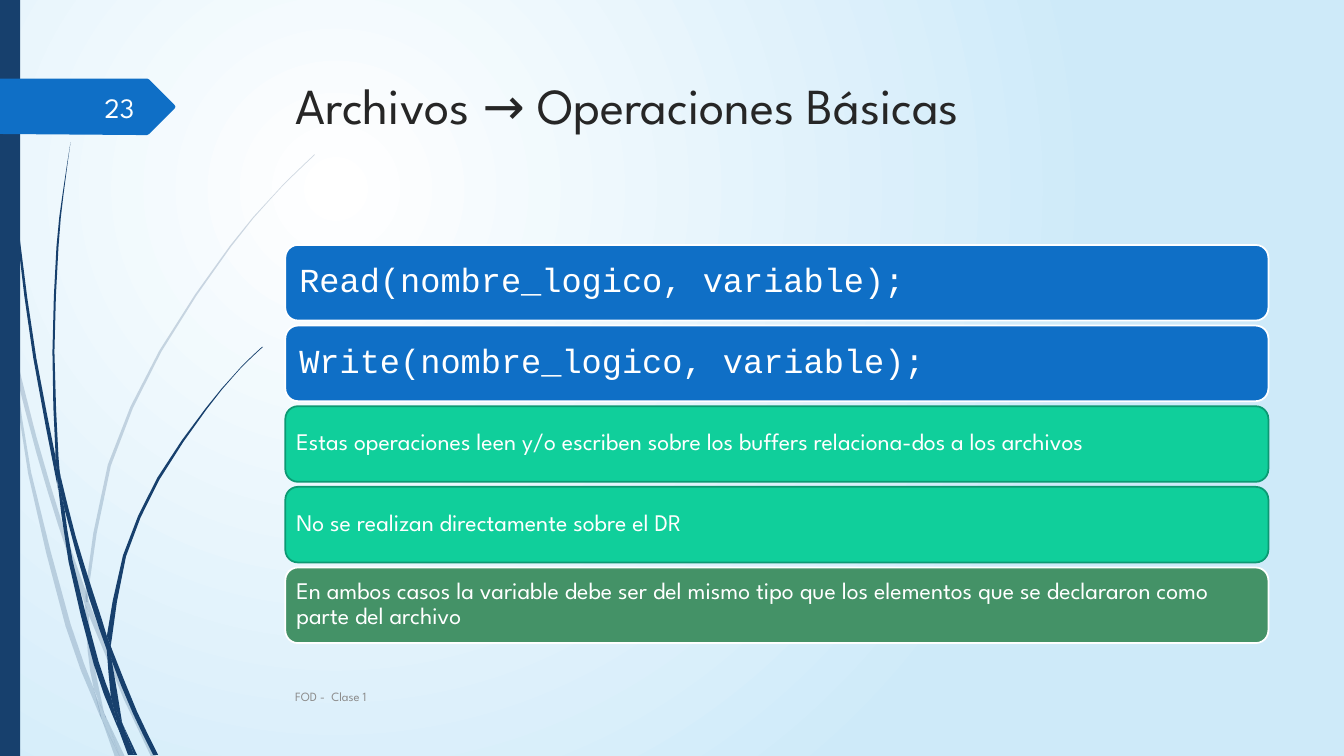
"""Build the slide on basic file operations."""
import lxml.etree
import pptx
import pptx.dml.color
import pptx.enum.shapes
import pptx.enum.text
import pptx.oxml.ns
import pptx.util

Inches = pptx.util.Inches
ANCHOR = pptx.enum.text.MSO_ANCHOR
ALIGN = pptx.enum.text.PP_ALIGN
PRESET = pptx.enum.shapes.MSO_SHAPE

TITLE = "Archivos → Operaciones Básicas"
FOOTER = "FOD -  Clase 1"
NUMBER = "23"
CARDS = [
    ("code", "Read(nombre_logico, variable);"),
    ("code", "Write(nombre_logico, variable);"),
    ("note", "Estas operaciones leen y/o escriben sobre los buffers relaciona-dos a los archivos"),
    ("note", "No se realizan directamente sobre el DR"),
    ("rule", "En ambos casos la variable debe ser del mismo tipo que los elementos "
             "que se declararon como parte del archivo"),
]
THEME = {
    "glow": "FFFFFF", "sky": "CEEAF9", "navy": "17406D", "blue": "0F6FC6",
    "title": {"name": "League Spartan", "size": 36, "color": "262626"},
    "footer": {"name": "League Spartan", "size": 9, "color": "8C8C8C"},
    "number": {"name": "League Spartan", "size": 20, "color": "FEFFFF"},
    "code_text": {"name": "Courier New", "size": 24, "color": "FFFFFF"},
    "note_text": {"name": "League Spartan", "size": 17, "color": "FFFFFF"},
    "code": {"fill": "0F6FC6", "line": "FFFFFF", "text": "code_text", "inset": 0.1},
    "note": {"fill": "10CF9B", "line": "0C9973", "text": "note_text", "inset": 0.07},
    "rule": {"fill": "449267", "line": "FFFFFF", "text": "note_text", "inset": 0.07},
}
CARD_LEFT, CARD_TOP, CARD_WIDTH, CARD_HEIGHT, CARD_STEP = 2.83, 2.43, 9.75, 0.75, 0.8
TAG = [(0, 0.78), (1.46, 0.78), (1.48, 0.79), (1.73, 1.04), (1.74, 1.06),
       (1.73, 1.08), (1.48, 1.33), (1.46, 1.34), (1.36, 1.34), (0, 1.33)]

FAINT_BLADES = [
    ([(0, 2.82), (0.09, 3.22), (0.11, 3.5)], [(0, 2.99), (0.1, 3.44), (0.11, 3.5)]),
    ([(0.14, 3.45), (0.36, 4.33), (0.62, 5.2), (0.85, 5.86)],
     [(0.17, 3.76), (0.36, 4.49), (0.58, 5.22), (0.84, 5.99)]),
    ([(0.88, 5.96), (0.92, 6.07), (1.27, 6.92), (1.55, 7.51)],
     [(0.88, 6.1), (1.23, 6.94), (1.5, 7.51)]),
    ([(1.05, 7.11), (1.24, 7.51)], [(1.05, 7.11), (1.19, 7.51)]),
    ([(0.11, 3.5), (0.17, 3.76), (0.31, 4.69), (0.7, 6.19), (0.93, 6.83), (1.01, 7.14)],
     [(0.11, 3.5), (0.28, 4.7), (0.65, 6.21), (0.92, 6.93), (1.01, 7.14)]),
    ([(0.84, 5.99), (0.88, 6.1), (0.91, 6.46), (1.03, 7.06), (1.05, 7.11)],
     [(0.84, 5.99), (0.87, 6.46), (0.93, 6.83), (1.05, 7.11)]),
    ([(3.12, 1.53), (2.89, 1.75), (2.68, 1.97), (2.28, 2.44), (1.58, 3.48), (1.07, 4.61),
      (0.85, 5.84), (0.88, 5.96)],
     [(3.12, 1.54), (2.9, 1.75), (2.68, 1.98), (2.29, 2.45), (1.6, 3.49), (1.1, 4.62),
      (0.88, 5.84), (0.88, 5.96)]),
    ([(1.01, 7.14), (1.19, 7.51)], [(1.01, 7.14), (1.14, 7.51)]),
    ([(0.85, 5.86), (0.88, 5.96), (0.88, 6.1)], [(0.85, 5.86), (0.84, 5.99), (0.88, 6.08)]),
    ([(0.93, 6.83), (0.96, 6.92), (1.05, 7.11), (1.19, 7.51)],
     [(0.93, 6.83), (0.99, 7.07), (1.01, 7.14), (1.19, 7.51)]),
]
DARK_BLADES = [
    ([(0.04, 0), (0.05, 0.48), (0.08, 1.09), (0.19, 2.32), (0.36, 3.55), (0.55, 4.53), (0.57, 4.81)],
     [(0.03, 0), (0.04, 0.48), (0.07, 1.1), (0.17, 2.33), (0.33, 3.55), (0.56, 4.77), (0.57, 4.81)]),
    ([(0.6, 4.72), (0.75, 5.32), (0.93, 5.9), (1.06, 6.31), (1.06, 6.45)],
     [(0.6, 4.72), (0.64, 5.05), (0.88, 5.92), (1.06, 6.45)]),
    ([(1.1, 6.41), (1.13, 6.49), (1.36, 7.06), (1.57, 7.49)],
     [(1.1, 6.41), (1.11, 6.56), (1.32, 7.08), (1.52, 7.49)]),
    ([(0.57, 4.77), (0.64, 5.05), (0.72, 5.56), (0.98, 6.57), (1.1, 6.91), (1.17, 7.22)],
     [(0.57, 4.77), (0.68, 5.57), (0.93, 6.59), (1.11, 7.08), (1.17, 7.22)]),
    ([(0.7, 1.41), (0.62, 1.93), (0.56, 2.45), (0.52, 3.49), (0.55, 4.49), (0.6, 4.72)],
     [(0.7, 1.41), (0.63, 1.93), (0.58, 2.45), (0.54, 3.49), (0.58, 4.53), (0.6, 4.72)]),
    ([(1.22, 7.19), (1.36, 7.49)], [(1.22, 7.19), (1.33, 7.49)]),
    ([(0.55, 4.49), (0.6, 4.72), (0.64, 5.05)], [(0.55, 4.53), (0.57, 4.77), (0.64, 5.05)]),
    ([(2.6, 3.44), (2.45, 3.58), (2.31, 3.73), (2.04, 4.05), (1.56, 4.74), (1.22, 5.51), (1.06, 6.31)],
     [(2.61, 3.44), (2.45, 3.59), (2.31, 3.74), (2.05, 4.06), (1.58, 4.76), (1.25, 5.52),
      (1.11, 6.33), (1.1, 6.41)]),
    ([(1.17, 7.22), (1.31, 7.49)], [(1.17, 7.22), (1.27, 7.49)]),
    ([(1.06, 6.45), (1.11, 6.56), (1.21, 7.16), (1.22, 7.19)],
     [(1.06, 6.45), (1.1, 6.91), (1.16, 7.06), (1.22, 7.19)]),
    ([(1.06, 6.31), (1.1, 6.41), (1.11, 6.56)], [(1.06, 6.31), (1.06, 6.45), (1.11, 6.56)]),
    ([(1.1, 6.91), (1.16, 7.06), (1.22, 7.19), (1.33, 7.49)],
     [(1.1, 6.91), (1.16, 7.17), (1.17, 7.22), (1.3, 7.49)]),
]


def rgb(code):
    return pptx.dml.color.RGBColor.from_string(code)


def add_xml(parent, tag, **attributes):
    return lxml.etree.SubElement(parent, pptx.oxml.ns.qn(tag), attributes)


def smooth(points):
    if len(points) < 4:
        return points
    padded = [points[0], *points, points[-1]]
    curve = []
    for before, start, end, after in zip(padded, padded[1:], padded[2:], padded[3:]):
        middle = tuple((9 * (b + c) - a - d) / 16 for a, b, c, d in zip(before, start, end, after))
        curve += [start, middle]
    return curve + [points[-1]]


def paint(shape, fill, line=None):
    shape.shadow.inherit = False
    shape.fill.solid()
    shape.fill.fore_color.rgb = rgb(fill)
    if line:
        shape.line.color.rgb = rgb(line)
        shape.line.width = pptx.util.Pt(1.25)
    else:
        shape.line.fill.background()


def add_outline(slide, points, fill, opacity=None):
    corners = [(Inches(x), Inches(y)) for x, y in points]
    builder = slide.shapes.build_freeform(*corners[0])
    builder.add_line_segments(corners[1:], close=True)
    shape = builder.convert_to_shape()
    paint(shape, fill)
    if opacity:
        color = shape.fill._xPr.find(".//" + pptx.oxml.ns.qn("a:srgbClr"))
        add_xml(color, "a:alpha", val=str(opacity * 1000))


def write(shape, text, style, anchor=ANCHOR.MIDDLE, align=ALIGN.LEFT, spacing=1.0, inset=0.1):
    frame = shape.text_frame
    layout = {"word_wrap": True, "vertical_anchor": anchor,
              "margin_left": Inches(inset), "margin_right": Inches(inset),
              "margin_top": Inches(0.05), "margin_bottom": Inches(0.05)}
    for name, value in layout.items():
        setattr(frame, name, value)
    para = frame.paragraphs[0]
    para.alignment, para.line_spacing = align, spacing
    span = para.add_run()
    span.text = text
    look = THEME[style]
    for name, value in {"name": look["name"], "size": pptx.util.Pt(look["size"])}.items():
        setattr(span.font, name, value)
    span.font.color.rgb = rgb(look["color"])


def add_label(slide, area, text, style, **options):
    write(slide.shapes.add_textbox(*map(Inches, area)), text, style, **options)


def paint_background(slide):
    fill = slide.background.fill
    fill.gradient()
    for stop, name, position in zip(fill.gradient_stops, ("glow", "sky"), (0, 1)):
        stop.color.rgb = rgb(THEME[name])
        stop.position = position
    gradient = slide.background._cSld.find(".//" + pptx.oxml.ns.qn("a:gradFill"))
    gradient.remove(gradient.find(pptx.oxml.ns.qn("a:lin")))
    circle = add_xml(gradient, "a:path", path="circle")
    add_xml(circle, "a:fillToRect", l="50000", t="50000", r="100000", b="100000")


deck = pptx.Presentation()
deck.slide_width, deck.slide_height = Inches(13.33), Inches(7.5)
slide = deck.slides.add_slide(deck.slide_layouts[6])
paint_background(slide)

for blades, opacity in ((FAINT_BLADES, 20), (DARK_BLADES, None)):
    for right_edge, left_edge in blades:
        add_outline(slide, smooth(right_edge) + smooth(left_edge)[::-1], THEME["navy"], opacity)

side_bar = slide.shapes.add_shape(PRESET.RECTANGLE, 0, 0, Inches(0.2), deck.slide_height)
paint(side_bar, THEME["navy"])
add_outline(slide, TAG, THEME["blue"])

add_label(slide, (2.83, 0.69, 9.75, 1.4), TITLE, "title", anchor=ANCHOR.TOP)
for index, (kind, text) in enumerate(CARDS):
    top = CARD_TOP + index * CARD_STEP
    look = THEME[kind]
    area = (CARD_LEFT, top, CARD_WIDTH, CARD_HEIGHT)
    card = slide.shapes.add_shape(PRESET.ROUNDED_RECTANGLE, *map(Inches, area))
    paint(card, look["fill"], look["line"])
    add_label(slide, (CARD_LEFT + 0.04, top + 0.03, CARD_WIDTH - 0.07, CARD_HEIGHT - 0.08),
              text, look["text"], spacing=0.9, inset=look["inset"])
add_label(slide, (2.83, 6.71, 8.33, 0.4), FOOTER, "footer")
add_label(slide, (0.58, 0.86, 0.85, 0.4), NUMBER, "number", align=ALIGN.RIGHT)

deck.save("out.pptx")
